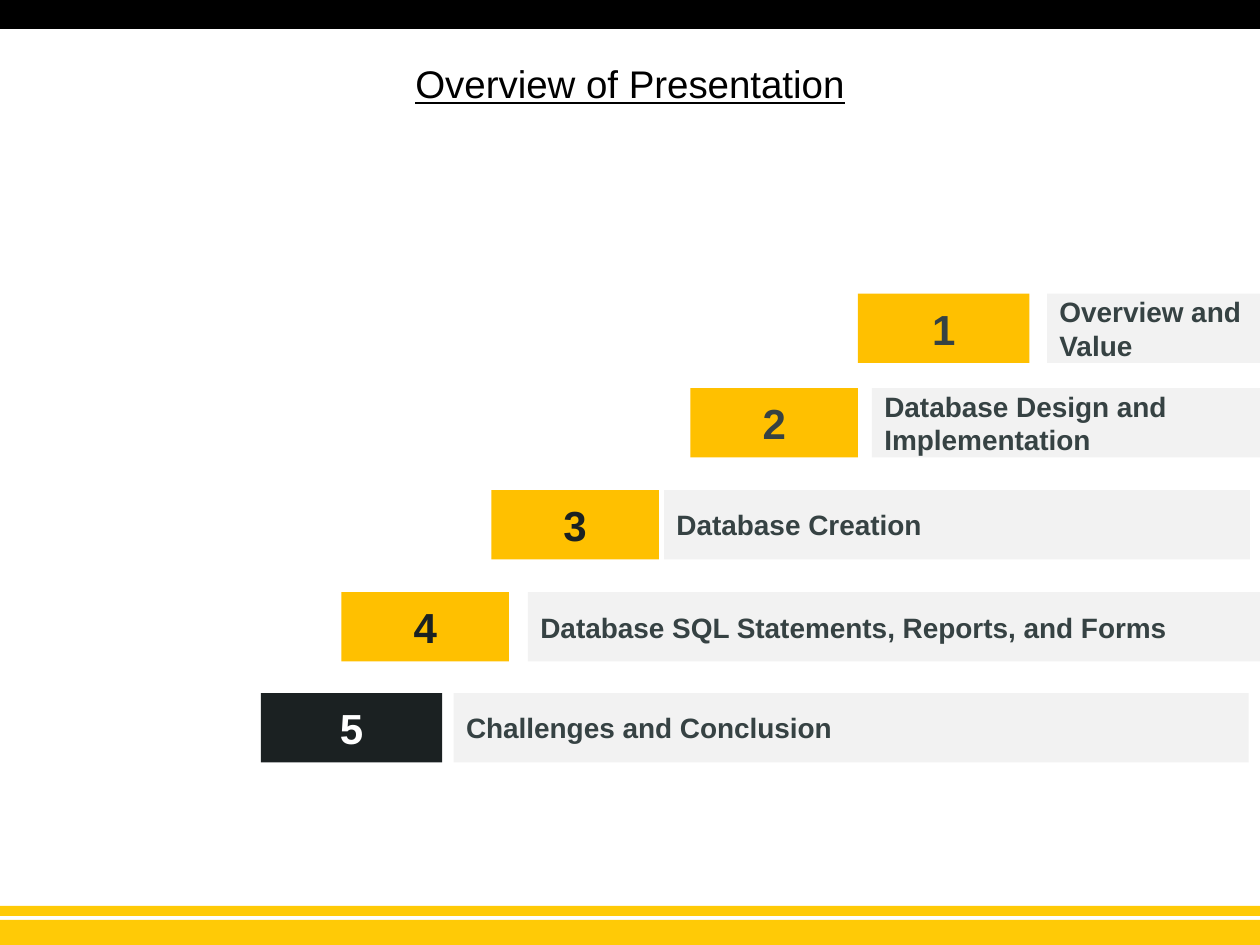
import dataclasses
import pptx
import pptx.util
import pptx.dml.color
import pptx.enum.shapes
import pptx.enum.text

Align = pptx.enum.text.PP_ALIGN


@dataclasses.dataclass(frozen=True)
class Theme:
    font: str = "Arial"
    black: str = "000000"
    white: str = "FFFFFF"
    band: str = "FFCA06"
    gold: str = "FFC000"
    dark: str = "1B2122"
    slate: str = "364243"
    pale: str = "F2F2F2"
    title: int = 22
    number: int = 24
    label: int = 16


THEME = Theme()
WIDE, HIGH = 10, 7.5
ROW = 0.55  # height of one agenda step

# number, top, number left, number width, label left, label right, fill, ink, label
STEPS = [
    (1, 2.33, 6.81, 1.36, 8.31, WIDE, THEME.gold, THEME.slate,
     "Overview and Value"),
    (2, 3.08, 5.48, 1.33, 6.92, WIDE, THEME.gold, THEME.slate,
     "Database Design and Implementation"),
    (3, 3.89, 3.9, 1.33, 5.27, 9.92, THEME.gold, THEME.dark,
     "Database Creation"),
    (4, 4.7, 2.71, 1.33, 4.19, WIDE, THEME.gold, THEME.dark,
     "Database SQL Statements, Reports, and Forms"),
    (5, 5.5, 2.07, 1.44, 3.6, 9.91, THEME.dark, THEME.white,
     "Challenges and Conclusion"),
]


def tint(code):
    return pptx.dml.color.RGBColor.from_string(code)


def write(frame, text, size, ink, align, bold=False):
    frame.word_wrap = True
    frame.vertical_anchor = pptx.enum.text.MSO_ANCHOR.MIDDLE
    para = frame.paragraphs[0]
    para.text = text
    para.alignment = align
    font = para.font
    font.name, font.size, font.bold = THEME.font, pptx.util.Pt(size), bold
    font.color.rgb = tint(ink)
    return font


def block(slide, left, top, width, height, fill):
    shape = slide.shapes.add_shape(
        pptx.enum.shapes.MSO_SHAPE.RECTANGLE,
        *map(pptx.util.Inches, (left, top, width, height)))
    shape.shadow.inherit = False
    shape.fill.solid()
    shape.fill.fore_color.rgb = tint(fill)
    shape.line.fill.background()
    return shape


def head(slide, text):
    title = slide.shapes.title
    title.left, title.top, title.width, title.height = map(
        pptx.util.Inches, (0.5, 0.31, WIDE - 1, 0.7))
    font = write(title.text_frame, text, THEME.title, THEME.black, Align.CENTER)
    font.underline = True


def step(slide, number, top, left, width, start, end, fill, ink, label):
    box = block(slide, left, top, width, ROW, fill)
    write(box.text_frame, str(number), THEME.number, ink, Align.CENTER, True)
    bar = block(slide, start, top, end - start, ROW, THEME.pale)
    write(bar.text_frame, label, THEME.label, THEME.slate, Align.LEFT, True)


def main():
    deck = pptx.Presentation()
    deck.slide_width = pptx.util.Inches(WIDE)
    deck.slide_height = pptx.util.Inches(HIGH)
    slide = deck.slides.add_slide(deck.slide_layouts[5])

    # Bands along the top and bottom edges
    for top, height, fill in [(HIGH - 0.2, 0.2, THEME.band),
                              (0, 0.23, THEME.black),
                              (7.19, 0.08, THEME.band)]:
        block(slide, 0, top, WIDE, height, fill)

    head(slide, "Overview of Presentation")

    # Staircase of agenda steps
    for item in STEPS:
        step(slide, *item)

    deck.save("out.pptx")


if __name__ == "__main__":
    main()
